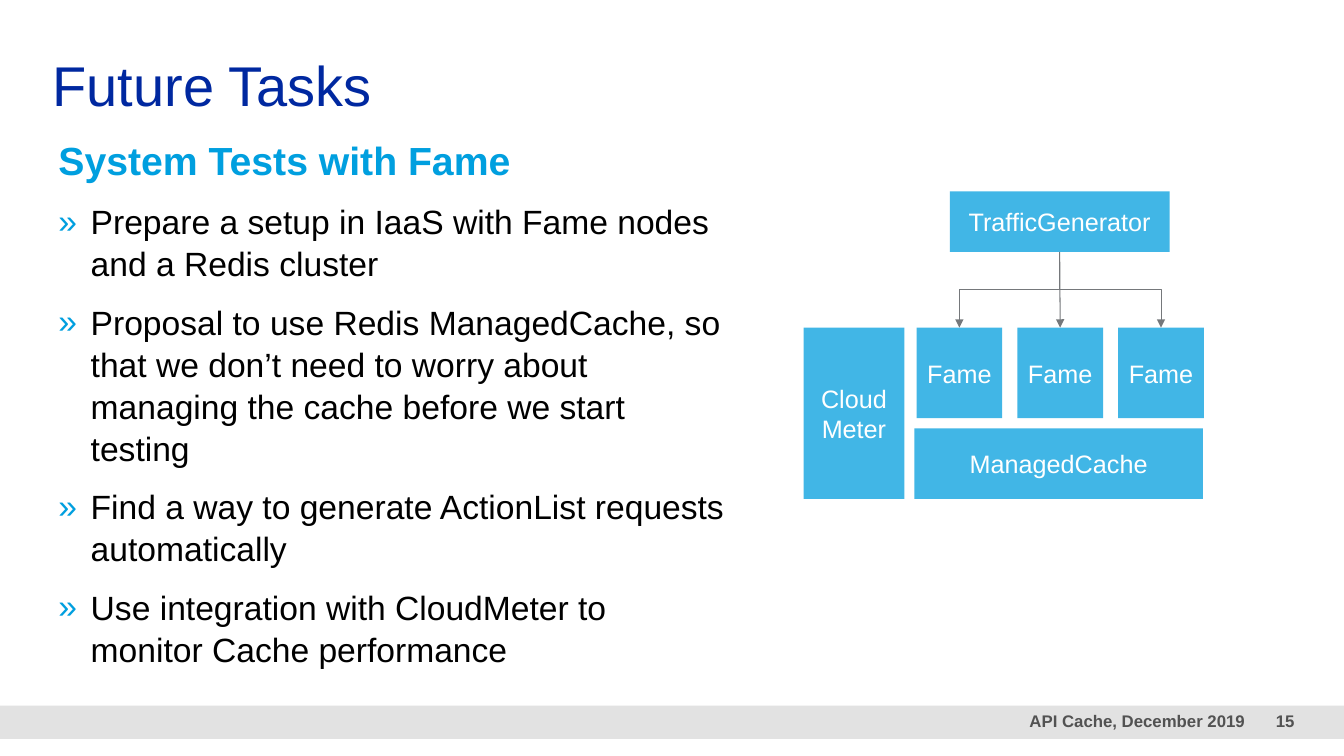
from lxml.etree import SubElement as Sub
from pptx import Presentation
from pptx.dml.color import RGBColor as Rgb
from pptx.enum.shapes import MSO_CONNECTOR as Line, MSO_SHAPE as Kind
from pptx.enum.text import MSO_ANCHOR as Anchor, PP_ALIGN as Align
from pptx.oxml.ns import qn
from pptx.util import Inches, Pt

theme = {
    "font": "Arial",
    "bar": "E2E2E2", "box": "41B6E6", "wire": "75787B", "mark": "009FDF",
    "title": ("0028A0", {"size": Pt(40), "bold": False}),
    "head": ("009FDF", {"size": Pt(28), "bold": True}),
    "body": ("000000", {"size": Pt(24), "bold": False}),
    "label": ("FFFFFF", {"size": Pt(18), "bold": False}),
    "foot": ("525252", {"size": Pt(12), "bold": True}),
}


def write(para, text, style, **form):
    """Fill a paragraph and apply its type style and format."""
    para.text = text
    color, face = theme[style]
    for key, val in {"name": theme["font"], **face}.items():
        setattr(para.font, key, val)
    para.font.color.rgb = Rgb.from_string(color)
    for key, val in form.items():
        setattr(para, key, val)


def frame(place, anchor=Anchor.TOP):
    """Add a wrapping text box without margins."""
    text = slide.shapes.add_textbox(*map(Inches, place)).text_frame
    form = {"word_wrap": True, "vertical_anchor": anchor, "margin_left": 0,
            "margin_right": 0, "margin_top": 0, "margin_bottom": 0}
    for key, val in form.items():
        setattr(text, key, val)
    return text


deck = Presentation()
deck.slide_width, deck.slide_height = Inches(13.33), Inches(7.5)
slide = deck.slides.add_slide(deck.slide_layouts[6])

# Footer bar and diagram boxes: place, fill, label
nodes = [(9.09 + i, 3.25, 0.85, 0.9) for i in range(3)]
boxes = [
    ((0, 7, 13.33, 0.33), "bar", ""),
    *((node, "box", "Fame") for node in nodes),
    ((9.07, 4.25, 2.86, 0.7), "box", "ManagedCache"),
    ((7.97, 3.25, 1, 1.7), "box", "Cloud\vMeter"),
    ((9.42, 1.9, 2.18, 0.6), "box", "TrafficGenerator"),
]
for place, fill, label in boxes:
    box = slide.shapes.add_shape(Kind.RECTANGLE, *map(Inches, place))
    box.shadow.inherit = False
    box.fill.solid()
    box.fill.fore_color.rgb = Rgb.from_string(theme[fill])
    box.line.fill.background()
    if label:
        box.text_frame.vertical_anchor = Anchor.MIDDLE
        write(box.text_frame.paragraphs[0], label, "label",
              alignment=Align.CENTER)

# Footer text
for left, width, text in [(6.26, 6.09, "API Cache, December 2019"),
                          (12.34, 0.5, "15")]:
    foot = frame((left, 7, width, 0.33), Anchor.MIDDLE)
    write(foot.paragraphs[0], text, "foot",
          alignment=Align.RIGHT, line_spacing=0.9)

# Title
title = frame((0.52, 0.5, 5.82, 0.67))
write(title.paragraphs[0], "Future Tasks", "title")

# Heading and bullets
body = frame((0.58, 1.33, 6.63, 3.42))
write(body.paragraphs[0], "System Tests with Fame", "head", line_spacing=1.04)
tasks = [
    "Prepare a setup in IaaS with Fame nodes and a Redis cluster",
    "Proposal to use Redis ManagedCache, so that we don’t need to worry "
    "about managing the cache before we start testing",
    "Find a way to generate ActionList requests automatically",
    "Use integration with CloudMeter to monitor Cache performance",
]
for task in tasks:
    para = body.add_paragraph()
    props = para._p.get_or_add_pPr()
    props.set("marL", str(Inches(0.32)))
    props.set("indent", str(-Inches(0.32)))
    Sub(Sub(props, qn("a:buClr")), qn("a:srgbClr"), val=theme["mark"])
    Sub(props, qn("a:buFont"), typeface=theme["font"])
    Sub(props, qn("a:buChar"), char="»")
    write(para, task, "body", space_before=Pt(12), line_spacing=1.04)

# Arrows from the generator to each node; side ones bend, turned a quarter
hub, top, drop = 10.51, 2.5, 0.75
for side, node in zip((1, 0, -1), nodes):
    goal = node[0] + node[2] / 2
    if side:
        mid_x, mid_y = (hub + goal) / 2, top + drop / 2
        half, span = side * drop / 2, abs(goal - hub) / 2
        ends = mid_x - half, mid_y - span, mid_x + half, mid_y + span
    else:
        ends = hub, top, goal, top + drop
    wire = slide.shapes.add_connector(
        Line.ELBOW if side else Line.STRAIGHT, *map(Inches, ends))
    props = wire._element.spPr
    if side:
        props.find(qn("a:xfrm")).set("rot", str(side * 90 % 360 * 60000))
    wire.line.width = Pt(0.75)
    wire.line.color.rgb = Rgb.from_string(theme["wire"])
    Sub(wire.line._get_or_add_ln(), qn("a:tailEnd"), type="triangle")
    Sub(props, qn("a:effectLst"))

deck.save("out.pptx")
